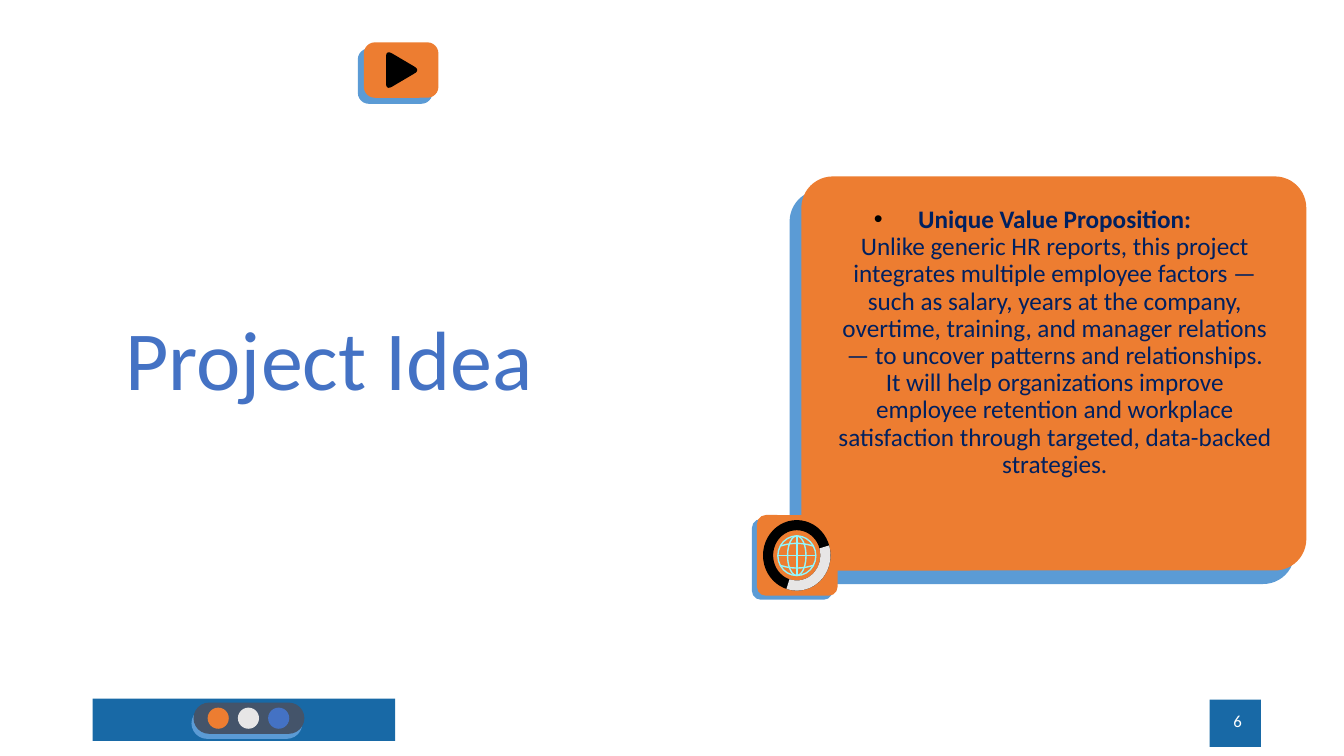
import math
from dataclasses import dataclass

import lxml.etree
import pptx
import pptx.dml.color
import pptx.enum.shapes
import pptx.enum.text
import pptx.oxml
import pptx.oxml.ns
import pptx.util

RGB = pptx.dml.color.RGBColor
SHAPE = pptx.enum.shapes.MSO_SHAPE
ALIGN = pptx.enum.text.PP_ALIGN
ANCHOR = pptx.enum.text.MSO_ANCHOR

ORANGE = RGB(0xED, 0x7D, 0x31)
SKY = RGB(0x5B, 0x9B, 0xD5)
BLUE = RGB(0x44, 0x72, 0xC4)
BAR_BLUE = RGB(0x18, 0x69, 0xA6)
SLATE = RGB(0x44, 0x54, 0x6A)
SILVER = RGB(0xE7, 0xE6, 0xE6)
CYAN = RGB(0x92, 0xF7, 0xFF)
NAVY = RGB(0x00, 0x20, 0x60)
BLACK = RGB(0, 0, 0)
WHITE = RGB(0xFF, 0xFF, 0xFF)

FONT = "Calibri"
WIDTH, HEIGHT = pptx.util.Inches(13.333), pptx.util.Inches(7.5)
COLUMN, ROW = WIDTH / 160, HEIGHT / 90
GLOBE_LINE = pptx.util.Pt(1)


@dataclass(frozen=True)
class Area:
    column: float
    row: float
    columns: float
    rows: float

    def lengths(self) -> tuple[int, int, int, int]:
        return (round(self.column * COLUMN), round(self.row * ROW),
                round(self.columns * COLUMN), round(self.rows * ROW))


@dataclass(frozen=True)
class Tile:
    area: Area
    shift: tuple[float, float]
    corner: float
    fill: RGB


TILES = {
    "play": Tile(Area(43.32, 5.04, 8.88, 6.6), (-0.72, 0.72), 0.2, ORANGE),
    "pill": Tile(Area(23.04, 83.64, 13.2, 3.72), (-0.24, 0.6), 0.5, SLATE),
    "badge": Tile(Area(90.12, 61.32, 9.6, 9.6), (-0.6, 0.48), 0.11, ORANGE),
}
PLAY_CORNERS = [(45.96, 5.94), (50.04, 8.34), (45.96, 10.74)]
BARS = [Area(11.04, 83.16, 36, 5.04), Area(144, 83.28, 6.12, 5.64)]
RING = Area(90.84, 61.92, 8.04, 8.4)
GLOBE = Area(92.6, 63.8, 4.52, 4.72)
MERIDIAN = Area(93.76, 63.8, 2.2, 4.72)


def draw_shape(page, kind: int, area: Area, fill: RGB, adjustments: tuple = ()):
    shape = page.shapes.add_shape(kind, *area.lengths())
    shape.shadow.inherit = False
    shape.fill.solid()
    shape.fill.fore_color.rgb = fill
    shape.line.fill.background()
    for index, value in enumerate(adjustments):
        shape.adjustments[index] = value
    return shape


def draw_tile(page, tile: Tile) -> None:
    front = tile.area
    right, down = tile.shift
    back = Area(front.column + right, front.row + down, front.columns, front.rows)
    for area, fill in ((back, SKY), (front, tile.fill)):
        draw_shape(page, SHAPE.ROUNDED_RECTANGLE, area, fill, (tile.corner,))


def draw_outline(page, points: list[tuple[float, float]], close: bool):
    places = [(round(x * COLUMN), round(y * ROW)) for x, y in points]
    builder = page.shapes.build_freeform(*places[0])
    builder.add_line_segments(places[1:], close=close)
    shape = builder.convert_to_shape()
    shape.shadow.inherit = False
    return shape


def rounded_corners(corners: list[tuple[float, float]], cut: float) -> list[tuple[float, float]]:
    points = []
    for index, corner in enumerate(corners):
        before, after = corners[index - 1], corners[(index + 1) % len(corners)]
        for step in range(9):
            t = step / 8
            points.append(tuple(
                c + cut * ((1 - t) ** 2 * (b - c) + t ** 2 * (a - c))
                for b, c, a in zip(before, corner, after)))
    return points


def outline_only(shape) -> None:
    shape.fill.background()
    shape.line.color.rgb = CYAN
    shape.line.width = GLOBE_LINE


def draw_globe(page) -> None:
    for area in (GLOBE, MERIDIAN):
        outline_only(draw_shape(page, SHAPE.OVAL, area, CYAN))
    left, top, width, height = GLOBE.lengths()
    middle_x, middle_y = left + width // 2, top + height // 2
    for ends in ((middle_x, top, middle_x, top + height),
                 (left, middle_y, left + width, middle_y)):
        line = page.shapes.add_connector(pptx.enum.shapes.MSO_CONNECTOR.STRAIGHT, *ends)
        line.line.color.rgb = CYAN
        line.line.width = GLOBE_LINE
        lxml.etree.SubElement(line.element.spPr, pptx.oxml.ns.qn("a:effectLst"))
    center_x, center_y = GLOBE.column + GLOBE.columns / 2, GLOBE.row + GLOBE.rows / 2
    for side in (-1, 1):
        points = [(center_x + 1.96 * t / 8, center_y + side * (1.47 - 0.32 * (t / 8) ** 2))
                  for t in range(-8, 9)]
        outline_only(draw_outline(page, points, close=False))


def draw_card(page) -> None:
    card = draw_shape(page, SHAPE.ROUNDED_RECTANGLE, Area(95.4, 21, 60.12, 46.92), ORANGE, (0.08,))
    effects = card.element.spPr.find(pptx.oxml.ns.qn("a:effectLst"))
    effects.append(pptx.oxml.parse_xml(
        f'<a:outerShdw {pptx.oxml.ns.nsdecls("a")} blurRad="0" dist="{pptx.util.Pt(12.8)}" '
        f'dir="{131 * 60000}" algn="ctr" rotWithShape="0"><a:srgbClr val="{SKY}"/></a:outerShdw>'))


def place_box(box, area: Area, anchor: int) -> None:
    box.left, box.top, box.width, box.height = area.lengths()
    frame = box.text_frame
    frame.word_wrap = True
    frame.auto_size = pptx.enum.text.MSO_AUTO_SIZE.NONE
    frame.vertical_anchor = anchor


def style_para(para, size: float, color: RGB, align: int) -> None:
    para.alignment = align
    para.space_before = pptx.util.Pt(0)
    para.font.name = FONT
    para.font.size = pptx.util.Pt(size)
    para.font.color.rgb = color


def write_title(page) -> None:
    title = page.shapes.title
    place_box(title, Area(7.56, 35.88, 63.24, 13.32), ANCHOR.BOTTOM)
    para = title.text_frame.paragraphs[0]
    para.text = "Project Idea"
    para.line_spacing = 0.9
    style_para(para, 60, BLUE, ALIGN.CENTER)


def write_number(page) -> None:
    area = Area(113.04, 83.4, 36, 4.8)
    box = page.shapes.add_textbox(*area.lengths())
    place_box(box, area, ANCHOR.MIDDLE)
    para = box.text_frame.paragraphs[0]
    para.text = "6"
    style_para(para, 12, WHITE, ALIGN.RIGHT)


def write_proposition(page) -> None:
    body = page.placeholders[1]
    place_box(body, Area(92.52, 24, 60.12, 40.56), ANCHOR.TOP)
    para = body.text_frame.paragraphs[0]
    heading = para.add_run()
    heading.text = "Unique Value Proposition:"
    heading.font.bold = True
    para.add_line_break()
    para.add_run().text = (
        "Unlike generic HR reports, this project integrates multiple employee factors — "
        "such as salary, years at the company, overtime, training, and manager relations — "
        "to uncover patterns and relationships. It will help organizations improve employee "
        "retention and workplace satisfaction through targeted, data-backed strategies.")
    para.line_spacing = 0.9
    properties = para._p.get_or_add_pPr()
    properties.set("marL", str(pptx.util.Inches(0.5)))
    properties.set("indent", str(pptx.util.Inches(-0.44)))
    namespace = pptx.oxml.ns.nsdecls("a")
    properties.append(pptx.oxml.parse_xml(
        f'<a:buClr {namespace}><a:srgbClr val="{BLACK}"/></a:buClr>'))
    properties.append(pptx.oxml.parse_xml(f'<a:buChar {namespace} char="•"/>'))
    style_para(para, 18, NAVY, ALIGN.CENTER)
    body.element.getparent().append(body.element)


def main() -> None:
    deck = pptx.Presentation()
    deck.slide_width, deck.slide_height = WIDTH, HEIGHT
    page = deck.slides.add_slide(deck.slide_layouts[1])

    for bar in BARS:
        draw_shape(page, SHAPE.RECTANGLE, bar, BAR_BLUE)
    write_title(page)
    write_number(page)

    draw_tile(page, TILES["play"])
    play = draw_outline(page, rounded_corners(PLAY_CORNERS, 0.18), close=True)
    play.fill.solid()
    play.fill.fore_color.rgb = BLACK
    play.line.fill.background()

    draw_card(page)

    draw_tile(page, TILES["pill"])
    for index, color in enumerate((ORANGE, SILVER, BLUE)):
        draw_shape(page, SHAPE.OVAL, Area(24.72 + 3.6 * index, 84.24, 2.52, 2.52), color)

    draw_tile(page, TILES["badge"])
    draw_shape(page, SHAPE.DONUT, RING, BLACK, (0.15,))
    start, end = (math.floor(angle * 60000) / 100000 for angle in (343, 107))
    draw_shape(page, SHAPE.BLOCK_ARC, RING, SILVER, (start, end, 0.15))
    draw_globe(page)
    write_proposition(page)
    deck.save("out.pptx")


if __name__ == "__main__":
    main()
